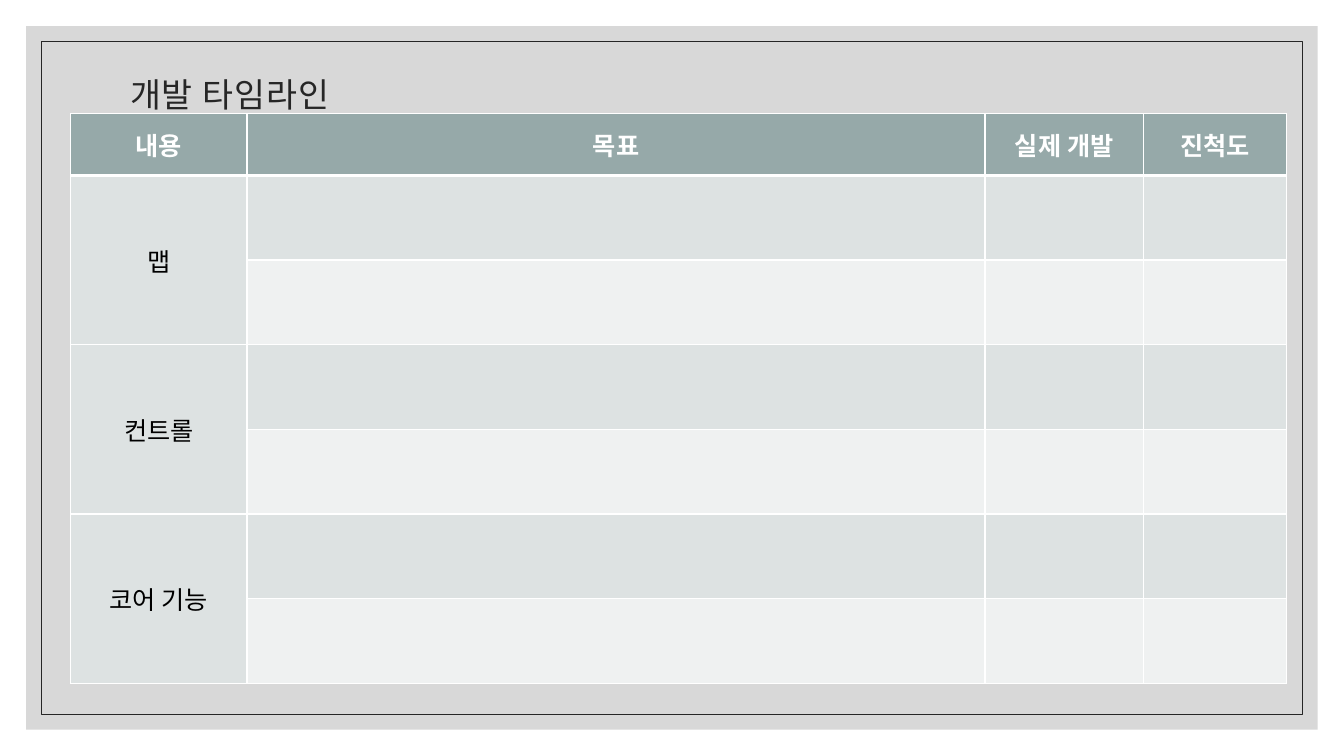
from lxml import etree
from pptx import Presentation
from pptx.dml.color import RGBColor
from pptx.enum.shapes import MSO_SHAPE
from pptx.enum.text import MSO_ANCHOR, PP_ALIGN
from pptx.oxml.ns import qn
from pptx.util import Inches, Pt

RECTANGLE = MSO_SHAPE.RECTANGLE
MIDDLE = MSO_ANCHOR.MIDDLE
LEFT, CENTER = PP_ALIGN.LEFT, PP_ALIGN.CENTER

SLIDE_W, SLIDE_H = 13.33, 7.5
FONT = "Calibri"
COLORS = {
    "panel": "BFBFBF",
    "ink": "262626",
    "header": "96A9A9",
    "band_dark": "DDE2E2",
    "band_light": "EFF1F1",
    "white": "FFFFFF",
    "black": "000000",
}
HEADINGS = ["내용", "목표", "실제 개발", "진척도"]
TOPICS = ["맵", "컨트롤", "코어 기능"]
ROWS_PER_TOPIC = 2
COLUMN_WIDTHS = [1.75, 7.32, 1.57, 1.42]
HEADER_HEIGHT, ROW_HEIGHT = 0.61, 0.84


def rgb(name):
    return RGBColor.from_string(COLORS[name])


def apply_format(target, values):
    for attribute, value in values.items():
        setattr(target, attribute, value)


def format_text(paragraph, text, size, color, bold, align):
    paragraph.alignment = align
    run = paragraph.add_run()
    run.text = text
    apply_format(run.font, {"name": FONT, "size": Pt(size), "bold": bold})
    run.font.color.rgb = rgb(color)
    return run


def add_frame(slide, margin):
    """Rectangle set in from every slide edge by the same margin."""
    frame = slide.shapes.add_shape(
        RECTANGLE, Inches(margin), Inches(margin),
        Inches(SLIDE_W - 2 * margin), Inches(SLIDE_H - 2 * margin))
    frame.shadow.inherit = False
    return frame


def add_background(slide):
    panel = add_frame(slide, 0.26)
    panel.fill.solid()
    panel.fill.fore_color.rgb = rgb("panel")
    panel.line.fill.background()
    panel_color = panel.fill._xPr.find(".//" + qn("a:srgbClr"))
    etree.SubElement(panel_color, qn("a:alpha"), val="60000")

    outline = add_frame(slide, 0.41)
    outline.fill.background()
    outline.line.color.rgb = rgb("ink")
    outline.line.width = Pt(0.5)


def add_title(slide, text):
    title = slide.shapes.title
    apply_format(title, {"left": Inches(1.17), "top": Inches(0.7),
                         "width": Inches(11), "height": Inches(0.42)})
    apply_format(title.text_frame, {
        "word_wrap": True, "vertical_anchor": MIDDLE,
        "margin_left": Inches(0.12), "margin_right": Inches(0.12),
        "margin_top": Inches(0.12), "margin_bottom": Inches(0.1)})
    paragraph = title.text_frame.paragraphs[0]
    paragraph.line_spacing = 1.05
    run = format_text(paragraph, text, 24, "ink", False, LEFT)
    run.font._element.set("spc", "70")
    # Bring the title in front of the background
    slide.shapes._spTree.append(title._element)


def style_cell(cell, fill, bottom_width=1):
    properties = cell._tc.get_or_add_tcPr()
    for side, width in {"L": 1, "R": 1, "T": 1, "B": bottom_width}.items():
        border = etree.SubElement(properties, qn("a:ln" + side), w=str(Pt(width)))
        border_fill = etree.SubElement(border, qn("a:solidFill"))
        etree.SubElement(border_fill, qn("a:srgbClr"), val=COLORS["white"])
    cell.fill.solid()
    cell.fill.fore_color.rgb = rgb(fill)
    cell.vertical_anchor = MIDDLE


def add_timeline(slide):
    row_count = 1 + len(TOPICS) * ROWS_PER_TOPIC
    height = HEADER_HEIGHT + ROW_HEIGHT * (row_count - 1)
    timeline = slide.shapes.add_table(
        row_count, len(HEADINGS), Inches(0.7), Inches(1.13),
        Inches(sum(COLUMN_WIDTHS)), Inches(height)).table
    for column, width in zip(timeline.columns, COLUMN_WIDTHS):
        column.width = Inches(width)
    for index, row in enumerate(timeline.rows):
        row.height = Inches(ROW_HEIGHT if index else HEADER_HEIGHT)

    # Header row
    for column, heading in enumerate(HEADINGS):
        cell = timeline.cell(0, column)
        style_cell(cell, "header", bottom_width=3)
        format_text(cell.text_frame.paragraphs[0], heading, 18, "white", True, CENTER)

    # Banded body
    for row in range(1, row_count):
        band = "band_dark" if row % 2 else "band_light"
        for column in range(len(HEADINGS)):
            style_cell(timeline.cell(row, column), band if column else "band_dark")

    # Topics, each spanning its rows
    for index, topic in enumerate(TOPICS):
        first_row = 1 + index * ROWS_PER_TOPIC
        cell = timeline.cell(first_row, 0)
        cell.merge(timeline.cell(first_row + ROWS_PER_TOPIC - 1, 0))
        format_text(cell.text_frame.paragraphs[0], topic, 18, "black", False, CENTER)


def main():
    presentation = Presentation()
    presentation.slide_width = Inches(SLIDE_W)
    presentation.slide_height = Inches(SLIDE_H)
    slide = presentation.slides.add_slide(presentation.slide_layouts[5])
    slide.background.fill.solid()
    slide.background.fill.fore_color.rgb = rgb("white")
    add_background(slide)
    add_title(slide, "개발 타임라인")
    add_timeline(slide)
    presentation.save("out.pptx")


if __name__ == "__main__":
    main()
